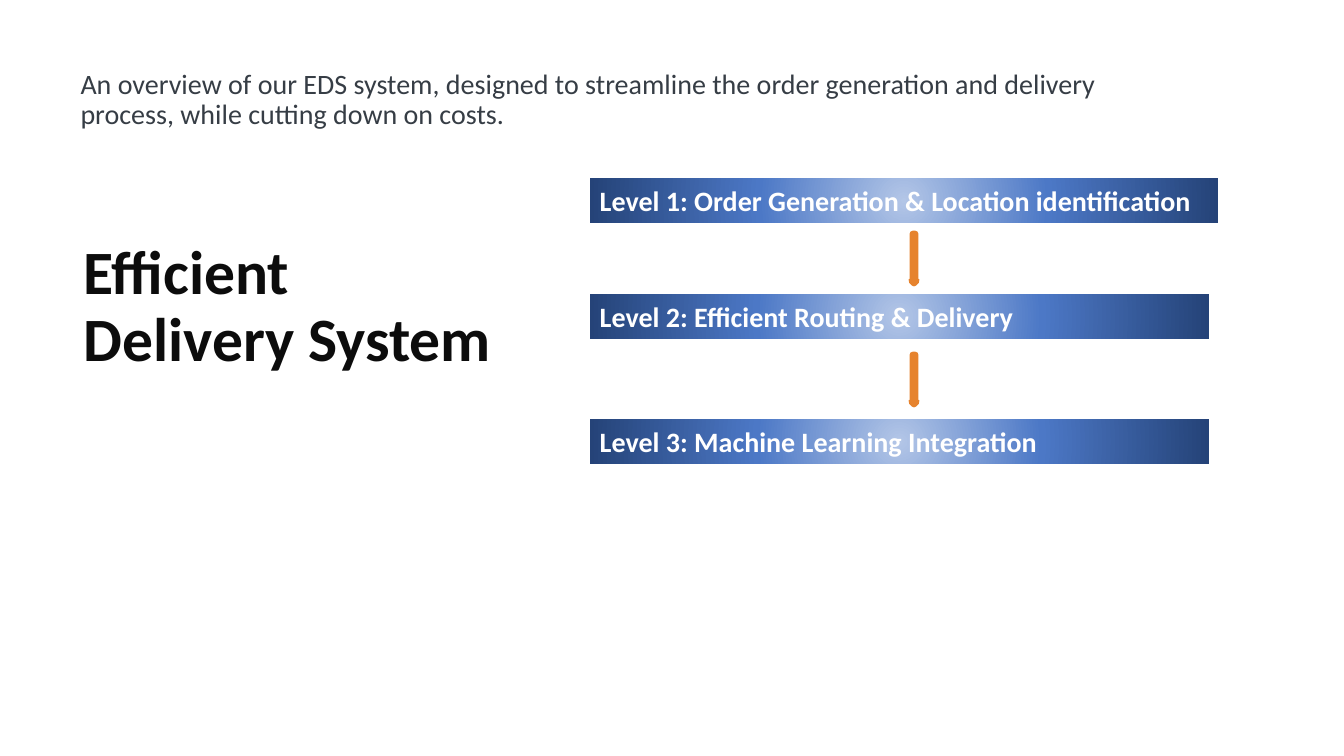
from lxml.etree import SubElement
from pptx import Presentation
from pptx.dml.color import RGBColor
from pptx.enum.shapes import MSO_SHAPE as Shape
from pptx.enum.text import MSO_ANCHOR as Anchor, MSO_AUTO_SIZE as AutoSize, PP_ALIGN as Align
from pptx.oxml.ns import qn
from pptx.util import Inches, Pt

LEVELS = [
    ("Level 1: Order Generation & Location identification", 0, 6.23),
    ("Level 2: Efficient Routing & Delivery", 1.15, 6.14),
    ("Level 3: Machine Learning Integration", 2.39, 6.14),
]
ARROWS = [("A32537", 0.55), ("4895CF", 1.75)]
GLOW = [(0, "B3C6E7"), (46, "4C78C6"), (100, "254378")]
BAR_HEIGHT = 0.44


def color(value):
    return RGBColor.from_string(value)


def write(frame, text, size, ink, bold=False, spacing=1.0):
    frame.word_wrap = True
    frame.text = text
    paragraph = frame.paragraphs[0]
    paragraph.alignment = Align.LEFT
    paragraph.line_spacing = spacing
    font = paragraph.runs[0].font
    font.name, font.size, font.bold = "Calibri", Pt(size), bold
    font.color.rgb = color(ink)


def add_text(slide, box, text, size, ink, bold=False, anchor=Anchor.TOP):
    frame = slide.shapes.add_textbox(*map(Inches, box)).text_frame
    frame.vertical_anchor = anchor
    write(frame, text, size, ink, bold, 0.9)


def radial_fill(shape, stops):
    shape.fill.gradient()
    gradient = shape._element.spPr.find(qn("a:gradFill"))
    for child in list(gradient):
        gradient.remove(child)
    stop_list = SubElement(gradient, qn("a:gsLst"))
    for position, value in stops:
        stop = SubElement(stop_list, qn("a:gs"), pos=str(position * 1000))
        SubElement(stop, qn("a:srgbClr"), val=value)
    circle = SubElement(gradient, qn("a:path"), path="circle")
    SubElement(circle, qn("a:fillToRect"), l="50000", t="50000", r="50000", b="50000")


def add_level(slide, box, text):
    bar = slide.shapes.add_shape(Shape.RECTANGLE, *map(Inches, box))
    bar.shadow.inherit = False
    bar.line.fill.background()
    radial_fill(bar, GLOW)
    bar.text_frame.vertical_anchor = Anchor.TOP
    write(bar.text_frame, text, 20, "FFFFFF", True)
    bar.text_frame.auto_size = AutoSize.SHAPE_TO_FIT_TEXT


def add_arrow(slide, box, fill):
    arrow = slide.shapes.add_shape(Shape.DOWN_ARROW, *map(Inches, box))
    arrow.shadow.inherit = False
    arrow.fill.solid()
    arrow.fill.fore_color.rgb = color(fill)
    arrow.line.color.rgb = color("E6832E")
    arrow.line.width = Pt(4.5)


def add_flow(slide, left, top):
    for text, offset, width in LEVELS:
        add_level(slide, (left, top + offset, width, BAR_HEIGHT), text)
    for fill, offset in ARROWS:
        add_arrow(slide, (left + 3.19, top + offset, 0.05, 0.49), fill)


def main():
    deck = Presentation()
    deck.slide_width, deck.slide_height = Inches(13.33), Inches(7.5)
    slide = deck.slides.add_slide(deck.slide_layouts[6])
    add_text(slide, (0.73, 0.83, 4.31, 4.45), "Efficient Delivery System",
             44, "0C0C0C", True, Anchor.MIDDLE)
    add_text(slide, (0.7, 0.65, 10.29, 4.3),
             "An overview of our EDS system, designed to streamline the order generation "
             "and delivery process, while cutting down on costs.", 20, "363D45")
    add_flow(slide, 5.85, 1.77)
    deck.save("out.pptx")


if __name__ == "__main__":
    main()
